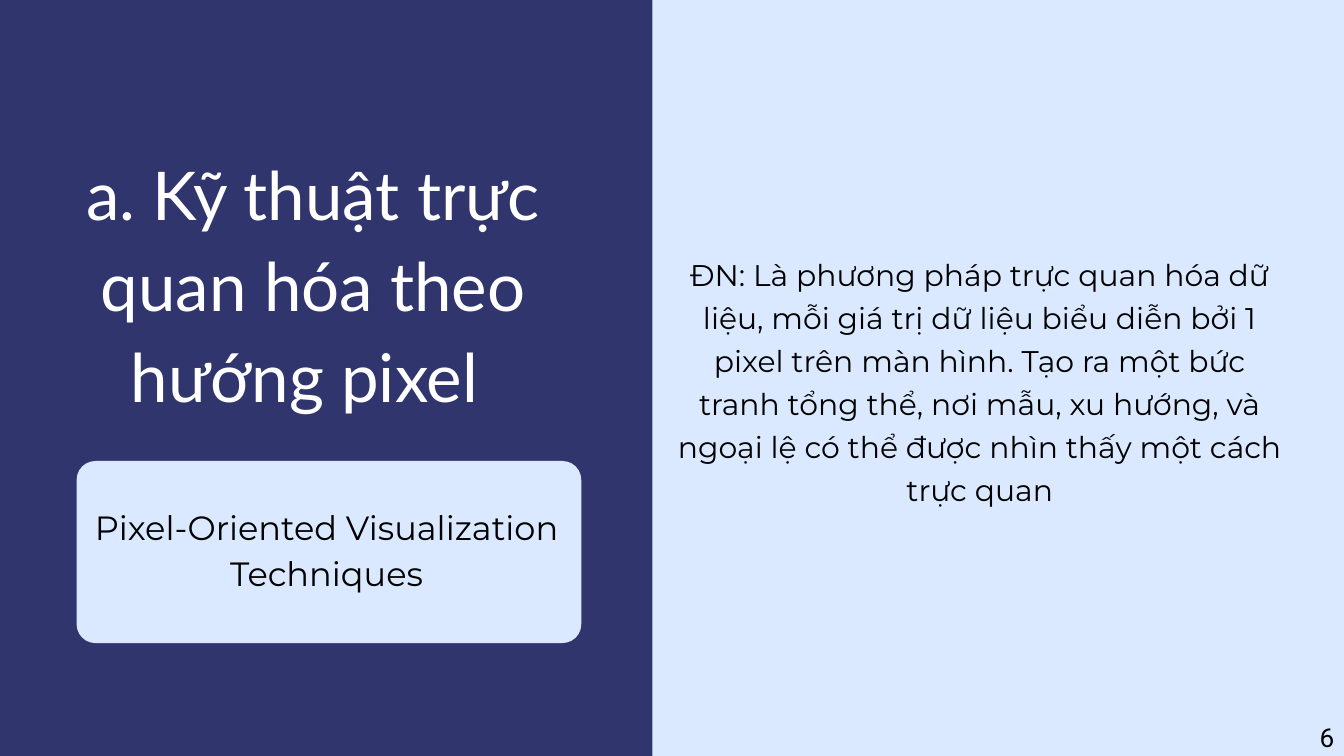
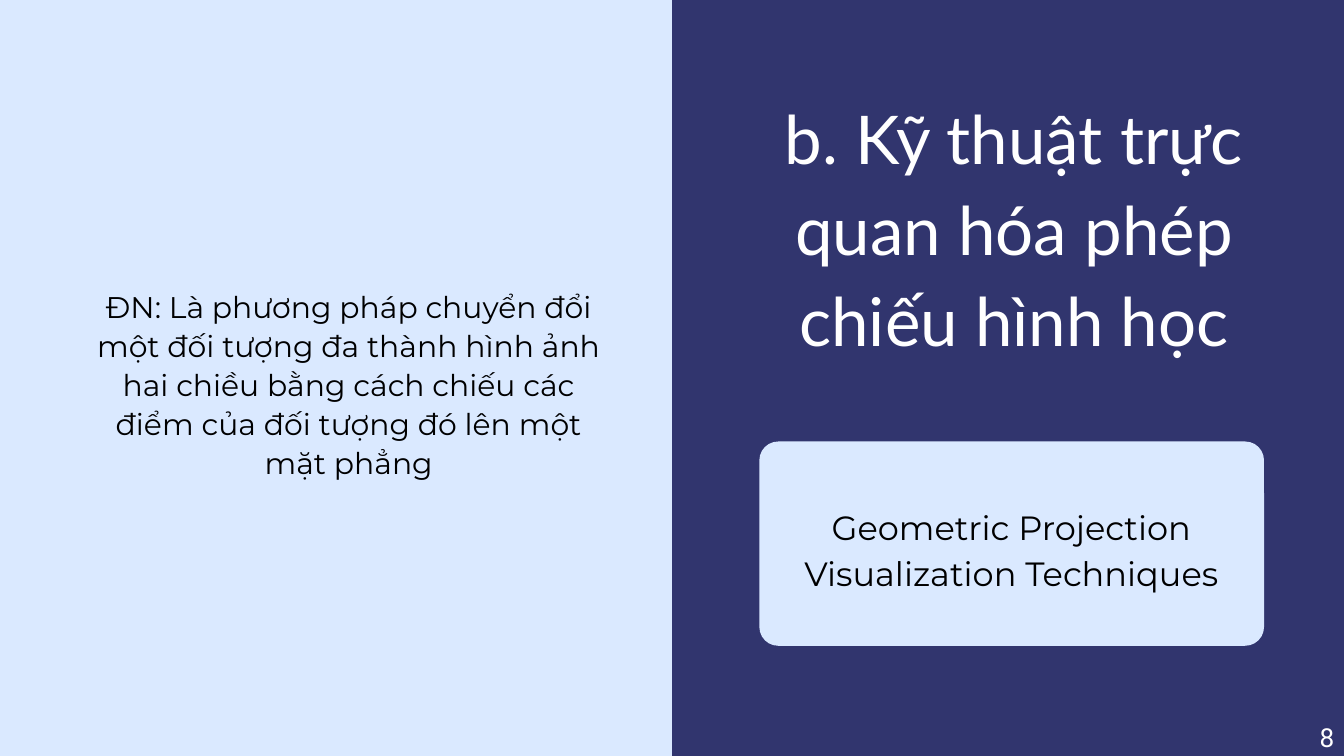
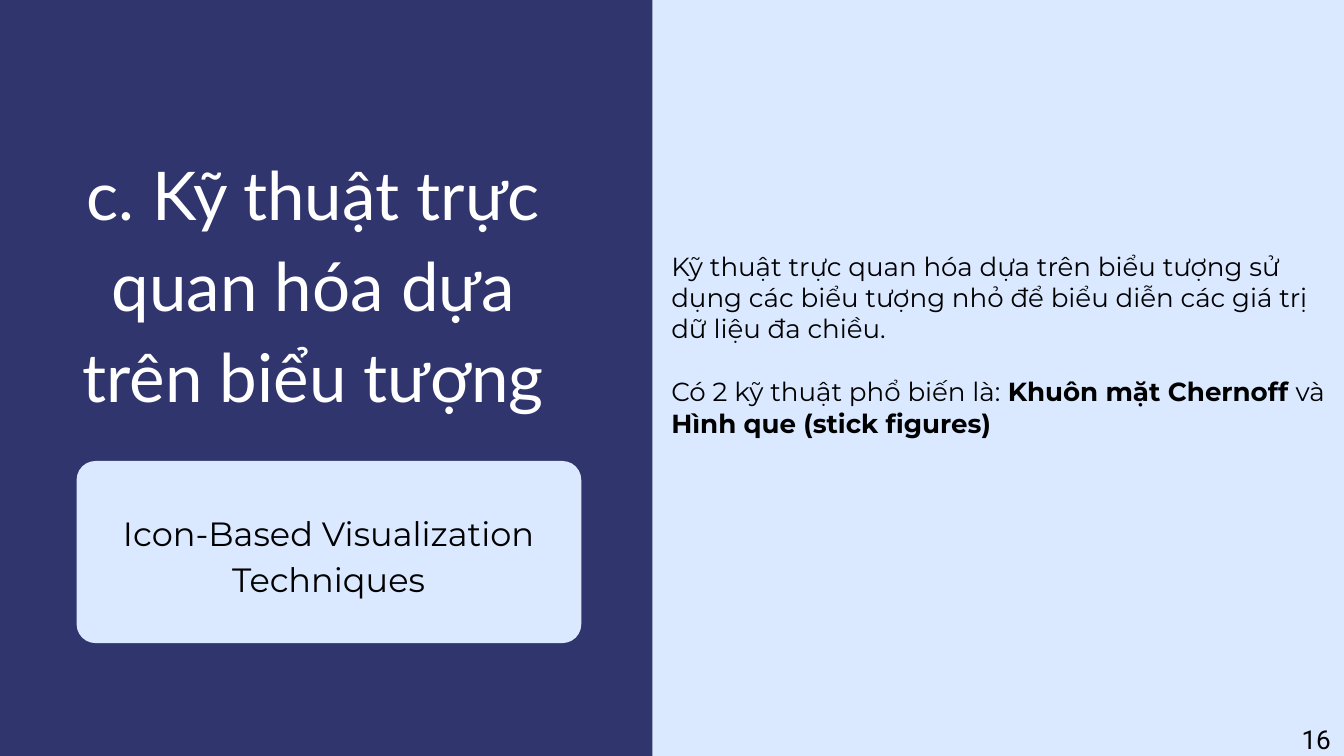
from pptx import Presentation
from pptx.dml.color import RGBColor
from pptx.enum.shapes import MSO_SHAPE
from pptx.enum.text import PP_ALIGN
from pptx.util import Inches, Pt

RECTANGLE = MSO_SHAPE.RECTANGLE
ROUNDED = MSO_SHAPE.ROUNDED_RECTANGLE
LEFT, CENTER = PP_ALIGN.LEFT, PP_ALIGN.CENTER

COLORS = {"navy": "31356E", "pale": "DAE9FF", "white": "FFFFFF", "black": "000000"}
TITLE = {"font": "Lato", "size": 72, "color": "white", "leading": 97.5}
SUBTITLE = {"font": "Montserrat", "size": 36, "color": "black", "leading": 50.2}
PANEL_SIZE = (10.11, 12.26)
CARD_WIDTH, CARD_RADIUS = 7.51, 0.28

# Boxes are (left, top, width, height); a body is a list of paragraphs of (text, bold) runs.
SECTIONS = [
    {
        "panel": (-0.4, -0.68),
        "card": (1.14, 6.86, CARD_WIDTH, 2.71),
        "title": ("a. Kỹ thuật trực quan hóa theo hướng pixel ", (1, 2.12, 7.32, 3.97)),
        "subtitle": ("Pixel-Oriented Visualization Techniques", (1.14, 7.44, 7.44, 1.36)),
        "body": [[("ĐN: Là phương pháp trực quan hóa dữ liệu, mỗi giá trị dữ liệu biểu diễn "
                   "bởi 1 pixel trên màn hình. Tạo ra một bức tranh tổng thể, nơi mẫu, xu hướng, "
                   "và ngoại lệ có thể được nhìn thấy một cách trực quan", False)]],
        "body_box": (9.99, 3.72, 9.18, 3.17),
        "body_style": {"size": 32, "leading": 46},
        "number": ("6", "black", (19.54, 10.68, 0.46, 0.57)),
    },
    {
        "panel": (10, -1.01),
        "card": (11.3, 6.57, CARD_WIDTH, 3.04),
        "title": ("b. Kỹ thuật trực quan hóa phép chiếu hình học", (11.43, 1.29, 7.32, 3.98)),
        "subtitle": ("Geometric Projection Visualization Techniques", (11.33, 7.44, 7.44, 1.36)),
        "body": [[("ĐN: Là phương pháp chuyển đổi một đối tượng đa thành hình ảnh hai chiều "
                   "bằng cách chiếu các điểm của đối tượng đó lên một mặt phẳng", False)]],
        "body_box": (1.23, 4.25, 7.92, 2.32),
        "body_style": {"size": 32, "leading": 41.8},
        "number": ("8", "white", (19.54, 10.68, 0.46, 0.57)),
    },
    {
        "panel": (-0.4, -0.68),
        "card": (1.14, 6.86, CARD_WIDTH, 2.71),
        "title": ("c. Kỹ thuật trực quan hóa dựa trên biểu tượng", (1, 2.12, 7.32, 3.98)),
        "subtitle": ("Icon-Based Visualization Techniques", (1.17, 7.53, 7.44, 1.35)),
        "body": [
            [("Kỹ thuật trực quan hóa dựa trên biểu tượng sử dụng các biểu tượng nhỏ để "
              "biểu diễn các giá trị dữ liệu đa chiều.", False)],
            [("Có 2 kỹ thuật phổ biến là:", False), (" Khuôn mặt Chernoff ", True),
             ("và ", False), ("Hình que (stick figures)", True)],
        ],
        "body_box": (9.99, 3.72, 9.83, 3.9),
        "body_style": {"size": 28, "align": LEFT, "gap": 34},
        "number": ("16", "black", (19.27, 10.71, 0.73, 0.57)),
    },
]


def add_block(page, kind, bounds, color):
    block = page.shapes.add_shape(kind, *map(Inches, bounds))
    block.shadow.inherit = False
    block.fill.solid()
    block.fill.fore_color.rgb = RGBColor.from_string(COLORS[color])
    block.line.fill.background()
    return block


def add_text(page, bounds, paragraphs, size, font="Montserrat", color="black",
             align=CENTER, leading=None, gap=0, inset=(0, 0), wrap=True):
    """Write paragraphs of (text, bold) runs; leading and gap are in points."""
    box = page.shapes.add_textbox(*map(Inches, bounds))
    frame = box.text_frame
    frame.word_wrap = wrap
    frame.margin_left = frame.margin_right = Inches(inset[0])
    frame.margin_top = frame.margin_bottom = Inches(inset[1])
    for index, runs in enumerate(paragraphs):
        para = frame.add_paragraph() if index else frame.paragraphs[0]
        para.alignment = align
        if leading:
            para.line_spacing = Pt(leading)
        if index:
            para.space_before = Pt(gap)
        for text, bold in runs:
            span = para.add_run()
            span.text = text
            span.font.name = font
            span.font.size = Pt(size)
            span.font.bold = bold
            span.font.color.rgb = RGBColor.from_string(COLORS[color])


deck = Presentation()
deck.slide_width, deck.slide_height = Inches(20), Inches(11.25)

for section in SECTIONS:
    page = deck.slides.add_slide(deck.slide_layouts[6])
    page.background.fill.solid()
    page.background.fill.fore_color.rgb = RGBColor.from_string(COLORS["pale"])

    add_block(page, RECTANGLE, section["panel"] + PANEL_SIZE, "navy")
    card = add_block(page, ROUNDED, section["card"], "pale")
    card.adjustments[0] = CARD_RADIUS / section["card"][3]

    for part, style in (("title", TITLE), ("subtitle", SUBTITLE)):
        text, bounds = section[part]
        add_text(page, bounds, [[(text, False)]], **style)
    add_text(page, section["body_box"], section["body"], **section["body_style"])

    number, color, bounds = section["number"]
    add_text(page, bounds, [[(number, False)]], 28, font="Roboto", color=color,
             align=LEFT, inset=(0.1, 0.05), wrap=False)

deck.save("out.pptx")
